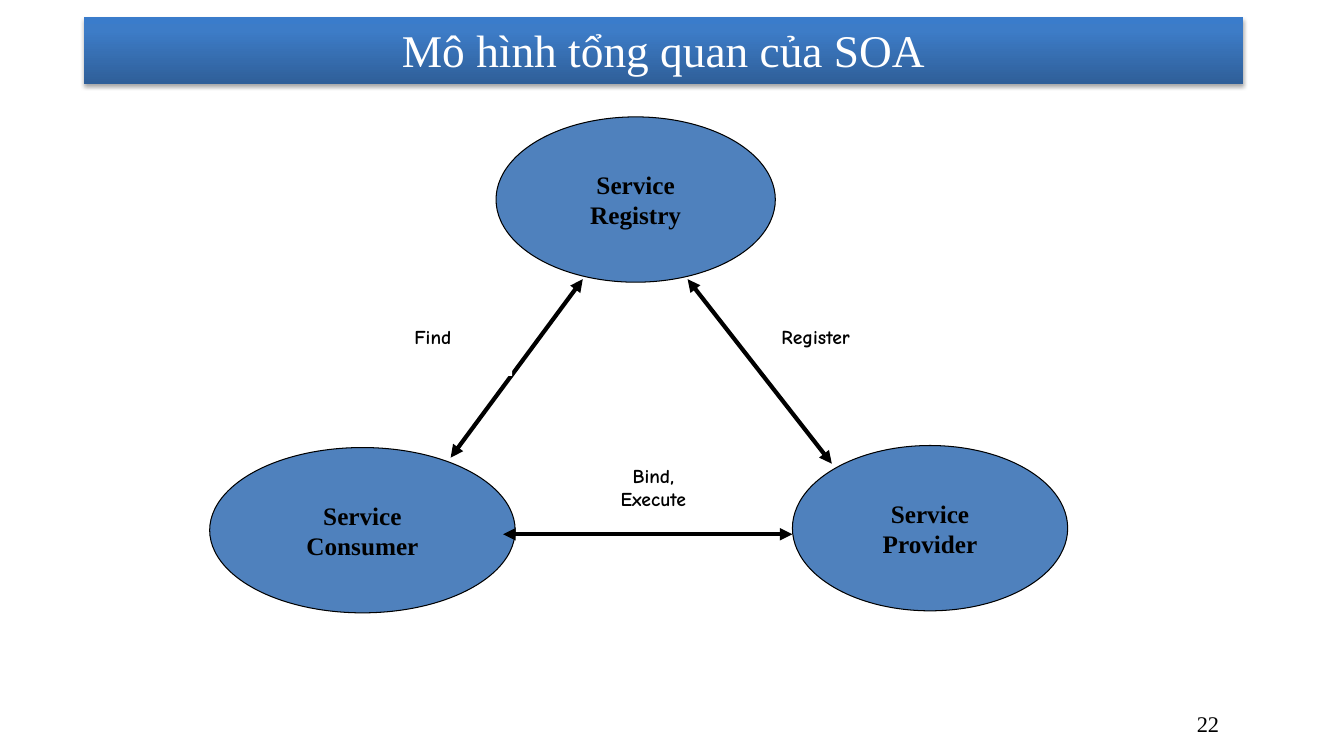
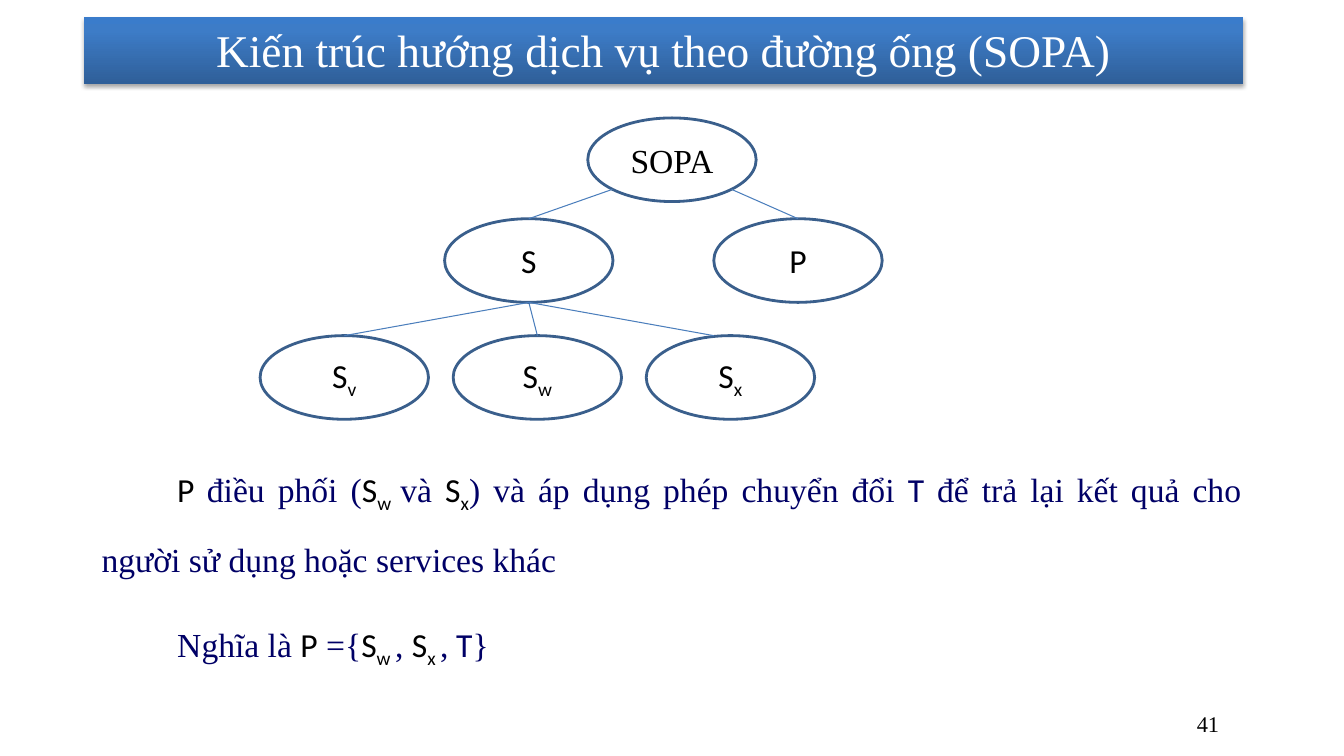
from copy import deepcopy
from math import sqrt

from lxml import etree
from pptx import Presentation
from pptx.dml.color import RGBColor
from pptx.enum import shapes, text
from pptx.oxml.ns import qn
from pptx.util import Inches, Pt

SERIF, SANS, COMIC = "Times New Roman", "Calibri", "Comic Neue"
BLACK, WHITE, NAVY = "000000", "FFFFFF", "000066"
NODE_FILL, TREE_LINE, BRANCH_LINE = "4F81BD", "3A5F8C", "4B7EBC"
BAND_STOPS = [(0, "2F5F99"), (0.8, "3D7CC7"), (1, "3A7CCB")]
LEFT, CENTER, RIGHT, JUSTIFY = (text.PP_ALIGN.LEFT, text.PP_ALIGN.CENTER,
                                text.PP_ALIGN.RIGHT, text.PP_ALIGN.JUSTIFY)
TOP, MIDDLE = text.MSO_ANCHOR.TOP, text.MSO_ANCHOR.MIDDLE
RECT, OVAL = shapes.MSO_SHAPE.RECTANGLE, shapes.MSO_SHAPE.OVAL
TREE_W, TREE_H = 1.67, 0.83


def rgb(value):
    return RGBColor.from_string(value)


def add_run(p, content, size, font=SERIF, color=BLACK, bold=False, sub=False):
    r = p.add_run()
    r.text = content
    r.font.size, r.font.name, r.font.bold = Pt(size), font, bold
    r.font.color.rgb = rgb(color)
    if sub:
        r._r.get_or_add_rPr().set("baseline", "-25000")


def set_up_text(sp, anchor=MIDDLE, inset=None):
    tf = sp.text_frame
    tf.word_wrap = True
    tf.vertical_anchor = anchor
    if inset is not None:
        tf.margin_left = tf.margin_right = Inches(inset)
        tf.margin_top = tf.margin_bottom = Inches(inset)
    return tf


def write_lines(tf, lines, align, **style):
    """Write one paragraph per line, all in the same style."""
    for i, line in enumerate(lines):
        p = tf.paragraphs[0] if i == 0 else tf.add_paragraph()
        p.alignment = align
        add_run(p, line, **style)


def add_box(slide, kind, at, fill=None, line=None, width=0.75):
    sp = slide.shapes.add_shape(kind, *map(Inches, at))
    sp.shadow.inherit = False
    if fill:
        sp.fill.solid()
        sp.fill.fore_color.rgb = rgb(fill)
    else:
        sp.fill.background()
    if line:
        sp.line.color.rgb = rgb(line)
        sp.line.width = Pt(width)
    else:
        sp.line.fill.background()
    return sp


def add_text(slide, at, content, align, **style):
    sp = slide.shapes.add_textbox(*map(Inches, at))
    write_lines(set_up_text(sp), [content], align, **style)


def add_line(slide, start, end, color, width, arrows=False):
    cxn = slide.shapes.add_connector(shapes.MSO_CONNECTOR.STRAIGHT,
                                     *map(Inches, (*start, *end)))
    cxn.line.color.rgb = rgb(color)
    cxn.line.width = Pt(width)
    if arrows:
        for tag in ("a:headEnd", "a:tailEnd"):
            etree.SubElement(cxn.line._ln, qn(tag), type="triangle")
    etree.SubElement(cxn._element.spPr, qn("a:effectLst"))
    return cxn


def add_band(slide):
    band = add_box(slide, RECT, (0.83, 0.17, 11.5, 0.66))
    band.fill.gradient()
    band.fill.gradient_angle = 90
    sp_pr = band._element.spPr
    stop_list = sp_pr.find(qn("a:gradFill")).find(qn("a:gsLst"))
    stop_list.append(deepcopy(stop_list[-1]))
    for stop, (position, color) in zip(band.fill.gradient_stops, BAND_STOPS):
        stop.position = position
        stop.color.rgb = rgb(color)
    shadow = etree.SubElement(sp_pr.find(qn("a:effectLst")), qn("a:outerShdw"),
                              blurRad=str(Pt(3.1)), dist=str(Pt(1.8)),
                              dir="5400000", rotWithShape="0")
    color = etree.SubElement(shadow, qn("a:srgbClr"), val=BLACK)
    etree.SubElement(color, qn("a:alpha"), val="35000")


def new_slide(prs, title, number):
    """Add a slide with the title band, title and slide number."""
    slide = prs.slides.add_slide(prs.slide_layouts[6])
    add_band(slide)
    add_text(slide, (9.08, 6.98, 3.11, 0.4), number, RIGHT, size=16)
    add_text(slide, (0.83, 0.15, 11.5, 0.68), title, CENTER, size=32.4, color=WHITE)
    return slide


def add_label(slide, at, lines, align=LEFT):
    sp = add_box(slide, RECT, at, WHITE)
    write_lines(set_up_text(sp, TOP, 0), lines, align, size=14, font=COMIC, bold=True)


def add_service(slide, at, role):
    sp = add_box(slide, OVAL, at, NODE_FILL, BLACK)
    write_lines(set_up_text(sp), ["Service", role], CENTER, size=18, bold=True)


def add_tree_node(slide, left, top, name, sub="", font=SANS):
    sp = add_box(slide, OVAL, (left, top, TREE_W, TREE_H), line=TREE_LINE, width=2)
    p = set_up_text(sp).paragraphs[0]
    p.alignment = CENTER
    add_run(p, name, 24, font)
    if sub:
        add_run(p, sub, 24, font, sub=True)
    return sp


def add_branch(slide, start, child, tip=None):
    """Link a point to the top of a child node, or to another tip."""
    cxn = add_line(slide, start, tip or start, BRANCH_LINE, 0.75)
    if tip is None:
        cxn.end_connect(child, 0)


def add_body(slide, at, paragraphs):
    tf = set_up_text(slide.shapes.add_textbox(*map(Inches, at)), TOP)
    styles = {"text": dict(color=NAVY), "symbol": dict(font=SANS),
              "sub": dict(font=SANS, sub=True), "T": dict(font=SANS, color=NAVY)}
    for i, runs in enumerate(paragraphs):
        p = tf.paragraphs[0] if i == 0 else tf.add_paragraph()
        p.alignment = JUSTIFY
        p.line_spacing = 1.6
        p.space_before = p.space_after = Pt(6)
        p_pr = p._p.get_or_add_pPr()
        p_pr.set("marL", "0")
        p_pr.set("indent", str(Inches(0.75)))
        for style, content in runs:
            add_run(p, content, 24, **styles[style])


def build_soa_model(prs):
    slide = new_slide(prs, "Mô hình tổng quan của SOA", "22")
    add_label(slide, (5.73, 4.6, 1.5, 0.99), ["Bind,", "Execute"], CENTER)
    add_service(slide, (4.92, 1.16, 2.77, 1.64), "Registry")
    add_service(slide, (7.86, 4.42, 2.73, 1.64), "Provider")
    add_service(slide, (2.08, 4.44, 3.03, 1.64), "Consumer")
    for start, end in [((4.47, 4.54), (5.78, 2.77)),
                       ((8.25, 4.6), (6.82, 2.77)),
                       ((4.99, 5.3), (7.86, 5.3))]:
        add_line(slide, start, end, BLACK, 3, arrows=True)
    add_label(slide, (4.11, 3.22, 0.97, 0.51), ["Find"])
    add_label(slide, (7.75, 3.22, 1.56, 0.51), ["Register"])


def build_sopa_tree(prs):
    slide = new_slide(prs, "Kiến trúc hướng dịch vụ theo đường ống (SOPA)", "41")
    add_body(slide, (0.91, 4.33, 11.5, 3.14), [
        [("symbol", "P "), ("text", "điều phối ("), ("symbol", "S"), ("sub", "w "),
         ("text", "và "), ("symbol", "S"), ("sub", "x"),
         ("text", ") và áp dụng phép chuyển đổi "), ("T", "T"),
         ("text", " để trả lại kết quả cho người sử dụng hoặc services khác")],
        [("text", "Nghĩa là "), ("symbol", "P"), ("text", " ={"), ("symbol", "S"),
         ("sub", "w "), ("text", ", "), ("symbol", "S"), ("sub", "x "),
         ("text", ","), ("T", " T"), ("text", "}")],
    ])
    root_left, root_top = 5.83, 1.17
    s_left, level_2, level_3 = 4.41, 2.17, 3.33
    add_tree_node(slide, root_left, root_top, "SOPA", font=SERIF)
    node_s = add_tree_node(slide, s_left, level_2, "S")
    node_p = add_tree_node(slide, 7.08, level_2, "P")
    leaves = [add_tree_node(slide, 2.58 + i * 1.915, level_3, "S", sub)
              for i, sub in enumerate("vwx")]

    root_x, root_y = root_left + TREE_W / 2, root_top + TREE_H / 2
    dx, dy = TREE_W / sqrt(8), TREE_H / sqrt(8)
    add_branch(slide, (root_x - dx, root_y + dy), node_s)
    add_branch(slide, (root_x + dx, root_y + dy), node_p)
    s_bottom = (s_left + TREE_W / 2, level_2 + TREE_H)
    for leaf, tip in zip(leaves, (None, None, (7.08, level_3))):
        add_branch(slide, s_bottom, leaf, tip)


def main():
    prs = Presentation()
    prs.slide_width, prs.slide_height = Inches(13.33), Inches(7.5)
    build_soa_model(prs)
    build_sopa_tree(prs)
    prs.save("out.pptx")


if __name__ == "__main__":
    main()
